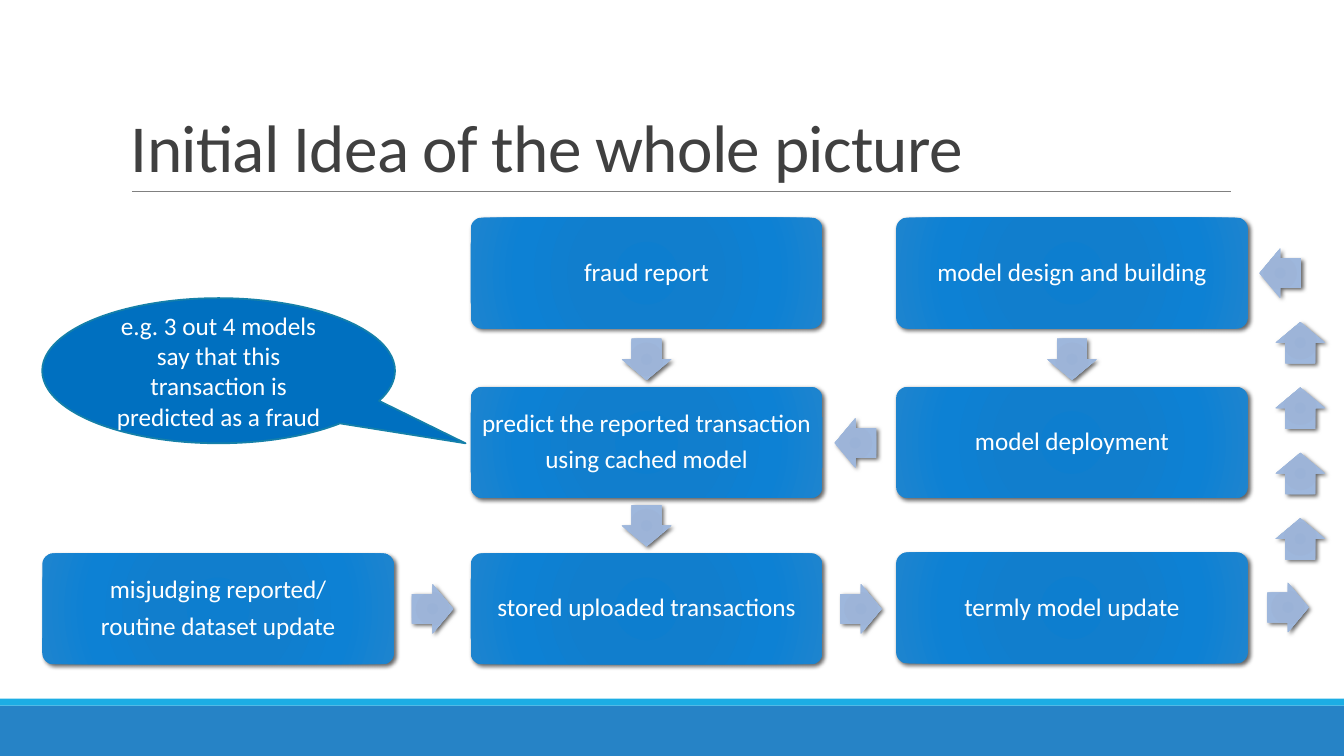
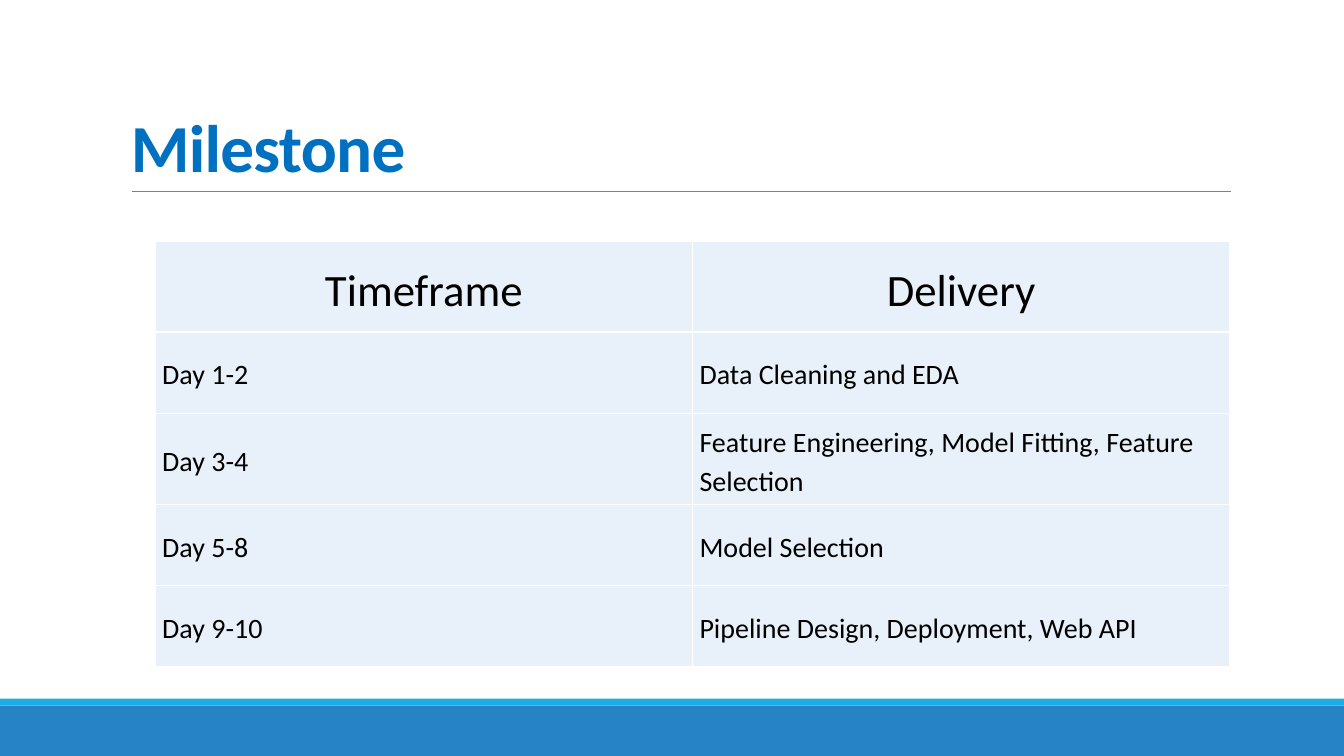
"""Build two slides: a fraud model workflow and a milestone table."""
from pptx import Presentation
from pptx.dml.color import RGBColor
from pptx.enum.shapes import MSO_CONNECTOR, MSO_SHAPE
from pptx.enum.text import MSO_ANCHOR, PP_ALIGN
from pptx.oxml import parse_xml
from pptx.oxml.ns import nsdecls, qn
from pptx.util import Pt

BAND = RGBColor(0x26, 0x83, 0xC6)
STRIPE = RGBColor(0x1C, 0xAD, 0xE4)
RULE = RGBColor(0x80, 0x80, 0x80)
DARK = RGBColor(0x40, 0x40, 0x40)
BLUE = RGBColor(0x00, 0x70, 0xC0)
EDGE = RGBColor(0x15, 0x80, 0xA9)
PALE = RGBColor(0xE8, 0xF1, 0xFA)
WHITE = RGBColor(0xFF, 0xFF, 0xFF)
BLACK = RGBColor(0x00, 0x00, 0x00)

BOX_TONES = ("0D7ECF", "117ECD", "0D81D4", "1E84CE")
ARROW_TONES = ("9AB2D7", "9DB4D8", "9EB7DC", "AAC0E2")
STOPS = (0, 34000, 70000, 100000)

TITLE_FONT = {"name": "Calibri", "size": Pt(48)}
BODY_FONT = {"name": "Calibri", "size": Pt(18)}
HEAD_FONT = {"name": "Calibri", "size": Pt(32), "bold": False}
CELL_FONT = {"name": "Calibri", "size": Pt(20), "bold": False}
TITLE_PARA = {"line_spacing": 0.85}
BOX_PARA = {"alignment": PP_ALIGN.CENTER, "line_spacing": 0.9, "space_after": Pt(6.3)}
NOTE_PARA = {"alignment": PP_ALIGN.CENTER}
CELL_PARA = {"alignment": PP_ALIGN.LEFT, "line_spacing": 1.15, "space_after": Pt(10)}
HEAD_PARA = {**CELL_PARA, "alignment": PP_ALIGN.CENTER}
MARGINS = ("margin_left", "margin_top", "margin_right", "margin_bottom")


def write(frame, text, font, para, color):
    """Fill a text frame, one paragraph per line of text."""
    frame.word_wrap = True
    for i, line in enumerate(text.split("\n")):
        par = frame.add_paragraph() if i else frame.paragraphs[0]
        run = par.add_run()
        run.text = line
        for target, values in ((par, para), (run.font, font)):
            for key, value in values.items():
                setattr(target, key, value)
        run.font.color.rgb = color
    return run


def shade(shape, tones):
    """Give a shape a radial gradient, no outline and a soft shadow."""
    shape.fill.gradient()
    shape.line.fill.background()
    shape.shadow.inherit = False
    props = shape.fill._xPr
    stops = "".join(f'<a:gs pos="{pos}"><a:srgbClr val="{tone}"/></a:gs>'
                    for pos, tone in zip(STOPS, tones))
    props.replace(props.find(qn("a:gradFill")), parse_xml(
        f'<a:gradFill {nsdecls("a")} rotWithShape="1"><a:gsLst>{stops}</a:gsLst>'
        '<a:path path="circle"><a:fillToRect l="100000" t="100000" r="100000" b="100000"/>'
        '</a:path></a:gradFill>'))
    props.find(qn("a:effectLst")).append(parse_xml(
        f'<a:outerShdw {nsdecls("a")} blurRad="38100" dist="25400" dir="2700000" '
        'rotWithShape="0"><a:srgbClr val="000000"><a:alpha val="60000"/></a:srgbClr>'
        '</a:outerShdw>'))


deck = Presentation()
deck.slide_width, deck.slide_height = Pt(960), Pt(540)

slides = []
for title, color, bold in (("Initial Idea of the whole picture", DARK, False),
                           ("Milestone", BLUE, True)):
    slide = deck.slides.add_slide(deck.slide_layouts[6])
    slides.append(slide)
    for top, high, tint in ((504, 36, BAND), (499, 5, STRIPE)):
        band = slide.shapes.add_shape(MSO_SHAPE.RECTANGLE, 0, Pt(top), Pt(960), Pt(high))
        band.shadow.inherit = False
        band.fill.solid()
        band.fill.fore_color.rgb = tint
        band.line.fill.background()
    rule = slide.shapes.add_connector(MSO_CONNECTOR.STRAIGHT, Pt(94.3), Pt(136.8),
                                      Pt(879.1), Pt(136.8))
    rule.line.color.rgb = RULE
    rule.line.width = Pt(0.5)
    rule._element.spPr.append(parse_xml(f'<a:effectLst {nsdecls("a")}/>'))
    head = slide.shapes.add_textbox(Pt(86.4), Pt(22.3), Pt(792), Pt(114.5)).text_frame
    head.vertical_anchor = MSO_ANCHOR.BOTTOM
    run = write(head, title, {**TITLE_FONT, "bold": bold}, TITLE_PARA, color)
    run._r.get_or_add_rPr().set("spc", "-50")

flow, plan = slides

COLS = (30.2, 336.2, 640.1)
ROWS = (155.5, 276.5, 395.3)
WIDE, HIGH = 251.3, 79.2
BOXES = (
    (1, 0, "fraud report"),
    (1, 1, "predict the reported transaction\nusing cached model"),
    (1, 2, "stored uploaded transactions"),
    (0, 2, "misjudging reported/\nroutine dataset update"),
    (2, 0, "model design and building"),
    (2, 1, "model deployment"),
    (2, 2, "termly model update"),
)
for col, row, text in BOXES:
    top = ROWS[row] - (0.7 if (col, row) == (2, 2) else 0)
    box = flow.shapes.add_shape(MSO_SHAPE.ROUNDED_RECTANGLE, Pt(COLS[col]), Pt(top),
                                Pt(WIDE), Pt(HIGH))
    box.adjustments[0] = 0.1
    shade(box, BOX_TONES)
    frame = box.text_frame
    frame.vertical_anchor = MSO_ANCHOR.MIDDLE
    for side in MARGINS:
        setattr(frame, side, Pt(5.5))
    write(frame, text, BODY_FONT, BOX_PARA, WHITE)

SPAN, DEEP = 35.3, 29.5
MID, LAST = (COLS[i] + WIDE / 2 for i in (1, 2))
ARROWS = {
    MSO_SHAPE.DOWN_ARROW: [(MID, 256.7), (MID, 375.5), (LAST, 256.7)],
    MSO_SHAPE.LEFT_ARROW: [(611, 316.4), (914.4, 195.1)],
    MSO_SHAPE.RIGHT_ARROW: [(309, 434.9), (615, 434.9), (920, 433.9)],
    MSO_SHAPE.UP_ARROW: [(928.8, 244.8 + 46.7 * i) for i in range(4)],
}
for kind, spots in ARROWS.items():
    upright = kind in (MSO_SHAPE.DOWN_ARROW, MSO_SHAPE.UP_ARROW)
    wide, high = (SPAN, DEEP) if upright else (DEEP, SPAN)
    for x, y in spots:
        arrow = flow.shapes.add_shape(kind, Pt(x - wide / 2), Pt(y - high / 2),
                                      Pt(wide), Pt(high))
        arrow.adjustments[0], arrow.adjustments[1] = 0.6, 0.5
        shade(arrow, ARROW_TONES)

note = flow.shapes.add_shape(MSO_SHAPE.OVAL_CALLOUT, Pt(30.2), Pt(213), Pt(252), Pt(103.7))
note.adjustments[0], note.adjustments[1] = 0.7, 0.5
note.shadow.inherit = False
note.fill.solid()
note.fill.fore_color.rgb = BLUE
note.line.color.rgb = EDGE
note.line.width = Pt(1.25)
note.text_frame.vertical_anchor = MSO_ANCHOR.MIDDLE
write(note.text_frame, "e.g. 3 out 4 models say that this transaction is predicted as a fraud",
      BODY_FONT, NOTE_PARA, WHITE)

STEPS = (
    ("Timeframe", "Delivery"),
    ("Day 1-2", "Data Cleaning and EDA"),
    ("Day 3-4", "Feature Engineering, Model Fitting, Feature Selection"),
    ("Day 5-8", "Model Selection"),
    ("Day 9-10", "Pipeline Design, Deployment, Web API"),
)
grid = plan.shapes.add_table(len(STEPS), 2, Pt(110.9), Pt(172.4), Pt(767.6), Pt(298)).table
grid.first_row = grid.horz_banding = False
for col in grid.columns:
    col.width = Pt(383.8)
for i, step in enumerate(STEPS):
    grid.rows[i].height = Pt(58 if i else 64.8)
    font, para = (CELL_FONT, CELL_PARA) if i else (HEAD_FONT, HEAD_PARA)
    for j, text in enumerate(step):
        cell = grid.cell(i, j)
        cell.vertical_anchor = MSO_ANCHOR.MIDDLE
        for side in MARGINS:
            setattr(cell, side, Pt(5))
        props = cell._tc.get_or_add_tcPr()
        for edge in ("lnL", "lnR", "lnT", "lnB"):
            props.append(parse_xml(
                f'<a:{edge} {nsdecls("a")} w="12700"><a:solidFill>'
                f'<a:srgbClr val="{WHITE}"/></a:solidFill></a:{edge}>'))
        cell.fill.solid()
        cell.fill.fore_color.rgb = PALE
        write(cell.text_frame, text, font, para, BLACK)

deck.save("out.pptx")
